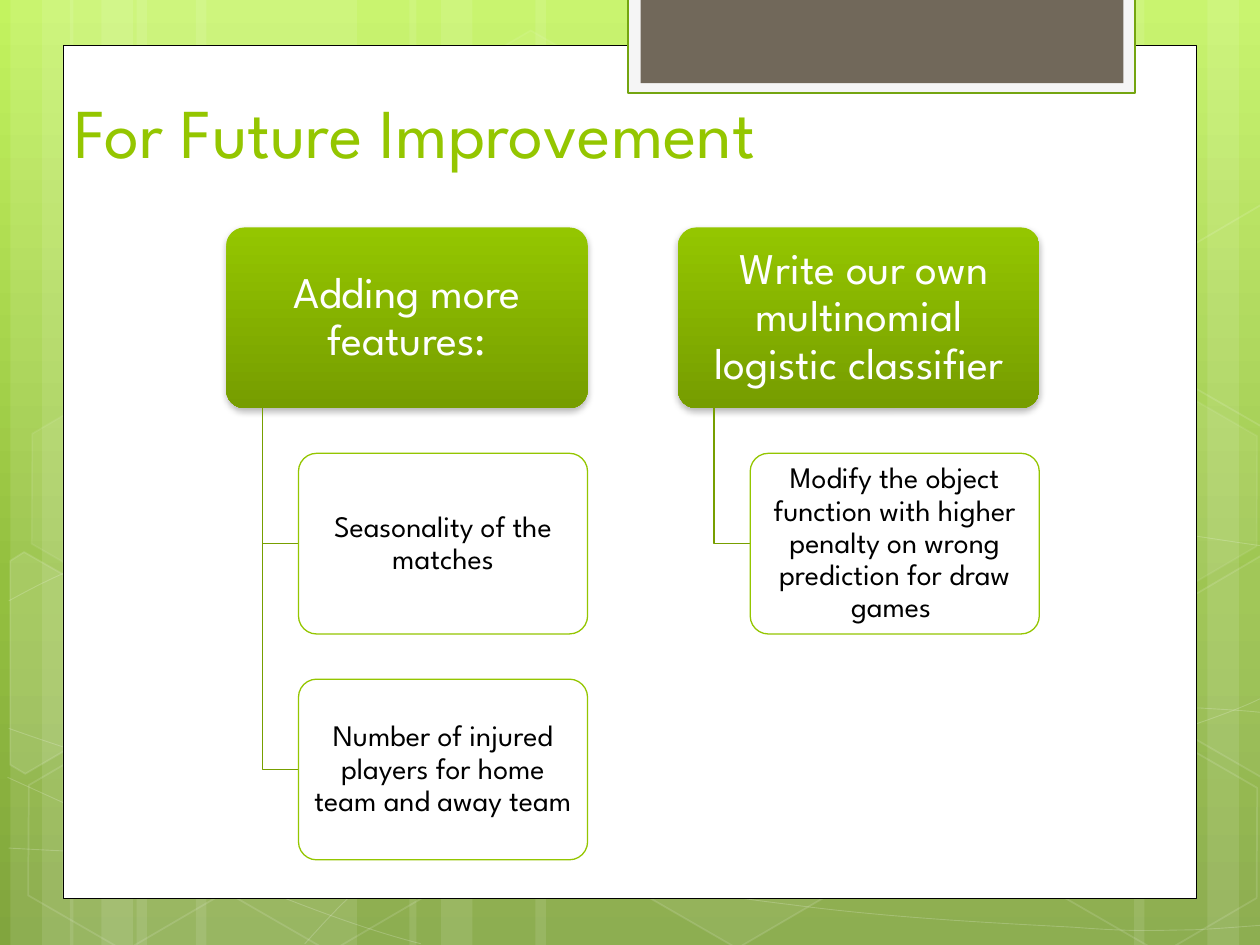
from copy import deepcopy
from dataclasses import dataclass
from math import cos, radians, sin
from typing import NamedTuple

from lxml import etree
from pptx import Presentation
from pptx.dml.color import RGBColor
from pptx.enum.shapes import MSO_SHAPE
from pptx.enum.text import MSO_ANCHOR, PP_ALIGN
from pptx.oxml.ns import qn
from pptx.shapes.base import BaseShape
from pptx.shapes.shapetree import SlideShapes
from pptx.slide import Slide
from pptx.text.text import TextFrame
from pptx.util import Pt

RECT, ROUNDED, HEXAGON = MSO_SHAPE.RECTANGLE, MSO_SHAPE.ROUNDED_RECTANGLE, MSO_SHAPE.HEXAGON
LEFT, CENTER = PP_ALIGN.LEFT, PP_ALIGN.CENTER
MIDDLE, BOTTOM = MSO_ANCHOR.MIDDLE, MSO_ANCHOR.BOTTOM
TITLE_ONLY = 5
DOWNWARD = 270
SLIDE_W, SLIDE_H = 720, 540
TILT = 30

Point = tuple[float, float]


@dataclass(frozen=True)
class Theme:
    font: str = "League Spartan"
    title_size: int = 40
    heading_size: int = 25
    detail_size: int = 17
    green: str = "94C600"
    dark_green: str = "769D00"
    branch: str = "779F00"
    tab_edge: str = "74A510"
    tab_frame: str = "F5F5F5"
    tab: str = "71685A"
    white: str = "FFFFFF"
    black: str = "000000"
    backdrop: tuple = ((0, "C3F35F"), (0.62, "93BF3F"), (1, "81A53E"))


class Box(NamedTuple):
    left: float
    top: float
    width: float
    height: float


class Paint(NamedTuple):
    color: str
    opacity: int = 100


class Stroke(NamedTuple):
    color: str
    width: float
    opacity: int = 100


class Hexagon(NamedTuple):
    left: float
    top: float
    fill_opacity: int
    edge_opacity: int


class CutHexagon(NamedTuple):
    corners: list[Point]
    center: Point
    fill_opacity: int


class Branch(NamedTuple):
    heading: str
    details: tuple[str, ...]


THEME = Theme()

# Left edge and width of each translucent band
STRIPES = [(78, 126), (6, 36), (24, 60), (112, 126), (40, 36), (58, 60),
           (528, 126), (690, 36), (648, 60), (306, 222), (234, 36), (252, 60)]

# Each curve is a start point followed by Bezier triples
CURVES = [
    [(5, 484.6), (43.9, 486.7), (82.8, 488.9), (136.8, 488.2), (190.8, 487.4), (257.8, 486),
     (329.8, 478.8), (401.8, 471.6), (504, 457.9), (570.2, 444.2), (635.8, 430.6),
     (703.4, 409), (725, 396.7)],
    [(5, 343.4), (25.9, 331.9), (46.8, 321.1), (87.1, 310.3), (128.2, 299.5), (186.5, 283.7),
     (249.8, 278.6), (313.9, 273.6), (391.7, 272.9), (470.9, 278.6), (550.1, 284.4),
     (681.8, 306.7), (725, 312.5)],
    [(4.3, 444.2), (91.4, 483.8), (177.8, 523.4), (240.5, 539.3)],
    [(5, 416.2), (27.4, 424.1), (50.4, 432), (92.2, 443.5), (133.9, 454.3), (196.6, 472.3),
     (257, 484.6), (316.8, 496.8), (392.4, 509.8), (452.2, 517), (511.9, 524.9), (576, 527.8),
     (614.2, 529.9), (651.6, 532.8), (661.7, 531.4), (680.4, 531.4), (699.1, 530.6),
     (712.1, 529.2), (725, 528.5)],
    [(174.2, 539.3), (187.2, 524.9), (200.2, 510.5), (217.4, 497.5), (234.7, 484.6),
     (259.2, 470.2), (279.4, 460.1), (299.5, 450), (311.8, 445.7), (338.4, 438.5),
     (364.3, 431.3), (412.6, 421.2), (437.8, 416.2), (463.7, 411.1), (467.3, 411.1),
     (489.6, 409.7), (511.9, 407.5), (547.2, 405.4), (571.7, 404.6), (596.9, 403.9),
     (637.9, 404.6), (637.9, 404.6), (654, 404.6), (670, 404.6), (686.2, 404.6),
     (699.1, 405.4), (711.4, 406.1), (717.8, 406.8), (724.3, 407.5), (722, 406.8),
     (724.3, 407.5)],
]

HEXAGONS = [Hexagon(240.5, 26, 4, 8), Hexagon(358, 424, 6, 12), Hexagon(8, 425.5, 0, 12),
            Hexagon(10, 224.6, 7, 8), Hexagon(125.3, 426, 0, 12), Hexagon(542, 326, 10, 12),
            Hexagon(600.5, 427, 0, 12), Hexagon(600.5, 226, 7, 8)]
LEFT_CUT = [(5.8, 320.4), (13.7, 315.4), (69.1, 347), (68.4, 410.4), (14.4, 442.1), (5.8, 437)]
RIGHT_CUT = [(666.7, 349.2), (720.7, 317.5), (726.5, 321.1), (726.5, 441.4),
             (721.4, 444.2), (666.7, 412.6)]
CUT_HEXAGONS = [CutHexagon(LEFT_CUT, (25.9, 385.2), 10),
                CutHexagon(RIGHT_CUT, (709.2, 374.4), 4),
                CutHexagon([(x, y - 200.5) for x, y in RIGHT_CUT], (709.2, 173.9), 0)]

BRANCHES = [
    Branch("Adding more features:",
           ("Seasonality of the matches",
            "Number of injured players for home team and away team")),
    Branch(" Write our own multinomial logistic classifier",
           ("Modify the object function with higher penalty on wrong prediction for draw games ",)),
]
TREE_LEFT, TREE_TOP = 129.3, 130
CARD_W = 206.5
CARD_H = CARD_W / 2
ROW_STEP = CARD_H * 1.25
COLUMN_STEP = CARD_W * 1.25
INDENT = CARD_W / 10


def rgb(color: str) -> RGBColor:
    return RGBColor.from_string(color)


def set_opacity(shape: BaseShape, color_path: str, opacity: int) -> None:
    if opacity < 100:
        color = shape.element.xpath(color_path)[0]
        etree.SubElement(color, qn("a:alpha"), val=str(opacity * 1000))


def style(shape: BaseShape, fill: Paint | None = None, stroke: Stroke | None = None) -> None:
    shape.shadow.inherit = False
    if fill and fill.opacity:
        shape.fill.solid()
        shape.fill.fore_color.rgb = rgb(fill.color)
        set_opacity(shape, "./p:spPr/a:solidFill/a:srgbClr", fill.opacity)
    else:
        shape.fill.background()
    if stroke:
        shape.line.color.rgb = rgb(stroke.color)
        shape.line.width = Pt(stroke.width)
        set_opacity(shape, "./p:spPr/a:ln/a:solidFill/a:srgbClr", stroke.opacity)
    else:
        shape.line.fill.background()


def add_block(shapes: SlideShapes, kind: MSO_SHAPE, box: Box, fill: Paint | None = None,
              stroke: Stroke | None = None) -> BaseShape:
    block = shapes.add_shape(kind, *map(Pt, box))
    style(block, fill, stroke)
    return block


def add_outline(shapes: SlideShapes, points: list[Point], stroke: Stroke,
                fill: Paint | None = None, close: bool = False) -> BaseShape:
    start, *rest = [(Pt(x), Pt(y)) for x, y in points]
    builder = shapes.build_freeform(*start)
    builder.add_line_segments(rest, close=close)
    outline = builder.convert_to_shape()
    style(outline, fill, stroke)
    return outline


def bend(outline: BaseShape) -> None:
    """Turn every three line segments into one cubic Bezier segment."""
    lines = list(outline.element.iter(qn("a:lnTo")))
    for first, second, third in zip(lines[::3], lines[1::3], lines[2::3]):
        first.tag = qn("a:cubicBezTo")
        for line in (second, third):
            first.append(line[0])
            line.getparent().remove(line)


def turn_back(points: list[Point], center: Point) -> list[Point]:
    """Undo the tilt, so that the shape's own rotation restores it."""
    cosine, sine = cos(radians(TILT)), sin(radians(TILT))
    cx, cy = center
    return [(cx + (x - cx) * cosine + (y - cy) * sine,
             cy - (x - cx) * sine + (y - cy) * cosine) for x, y in points]


def write(frame: TextFrame, text: str, size: int, color: str, align: PP_ALIGN,
          anchor: MSO_ANCHOR) -> None:
    frame.text = text
    frame.word_wrap = True
    frame.vertical_anchor = anchor
    paragraph = frame.paragraphs[0]
    paragraph.alignment = align
    font = paragraph.runs[0].font
    font.name, font.size, font.color.rgb = THEME.font, Pt(size), rgb(color)


def write_card(card: BaseShape, text: str, size: int, color: str, inset: float) -> None:
    card.adjustments[0] = 0.1
    frame = card.text_frame
    frame.margin_left = frame.margin_right = Pt(inset)
    frame.margin_top = frame.margin_bottom = Pt(inset - 1.5)
    write(frame, text, size, color, CENTER, MIDDLE)
    frame.paragraphs[0].line_spacing = 0.9


def add_heading(shapes: SlideShapes, box: Box, text: str) -> None:
    card = add_block(shapes, ROUNDED, box)
    card.fill.gradient()
    card.fill.gradient_angle = DOWNWARD
    for stop, color in zip(card.fill.gradient_stops, (THEME.green, THEME.dark_green)):
        stop.color.rgb = rgb(color)
    effects = card.element.spPr.find(qn("a:effectLst"))
    shadow = etree.SubElement(effects, qn("a:outerShdw"), blurRad=str(Pt(4)), dist=str(Pt(2)),
                              dir="5400000", rotWithShape="0")
    shade = etree.SubElement(shadow, qn("a:srgbClr"), val=THEME.black)
    etree.SubElement(shade, qn("a:alpha"), val="28000")
    write_card(card, text, THEME.heading_size, THEME.white, 6.5)


def add_branch(shapes: SlideShapes, left: float, branch: Branch) -> None:
    add_heading(shapes, Box(left, TREE_TOP, CARD_W, CARD_H), branch.heading)
    trunk, detail_left = left + INDENT, left + 2 * INDENT
    for row, detail in enumerate(branch.details, start=1):
        top = TREE_TOP + row * ROW_STEP
        middle = top + CARD_H / 2
        add_outline(shapes, [(trunk, TREE_TOP + CARD_H), (trunk, middle), (detail_left, middle)],
                    Stroke(THEME.branch, 0.75))
        card = add_block(shapes, ROUNDED, Box(detail_left, top, CARD_W - 2 * INDENT, CARD_H),
                         Paint(THEME.white, 90), Stroke(THEME.green, 0.75))
        write_card(card, detail, THEME.detail_size, THEME.black, 6)


def paint_backdrop(slide: Slide) -> None:
    fill = slide.background.fill
    fill.gradient()
    fill.gradient_angle = DOWNWARD
    stop_list = next(slide.element.iter(qn("a:gsLst")))
    stop_list.insert(1, deepcopy(stop_list[0]))
    for stop, (position, color) in zip(fill.gradient_stops, THEME.backdrop):
        stop.position, stop.color.rgb = position, rgb(color)


def add_decoration(shapes: SlideShapes) -> None:
    white = THEME.white
    for left, width in STRIPES:
        add_block(shapes, RECT, Box(left, 0, width, SLIDE_H), Paint(white, 10))
    for curve in CURVES:
        bend(add_outline(shapes, curve, Stroke(white, 0.5, 20)))
    for item in HEXAGONS:
        cell = add_block(shapes, HEXAGON, Box(item.left, item.top, 126, 109.4),
                         Paint(white, item.fill_opacity), Stroke(white, 1, item.edge_opacity))
        cell.adjustments[0], cell.adjustments[1] = 0.285, 1.155
        cell.rotation = TILT
    for cut in CUT_HEXAGONS:
        cell = add_outline(shapes, turn_back(cut.corners, cut.center), Stroke(white, 1, 12),
                           Paint(white, cut.fill_opacity), close=True)
        cell.rotation = TILT


def add_panel(shapes: SlideShapes) -> None:
    add_block(shapes, RECT, Box(36, 26, 648, 487.4), Paint(THEME.white), Stroke(THEME.black, 0.5))
    add_block(shapes, RECT, Box(359, -1.5, 289.5, 54.7), Paint(THEME.tab_frame),
              Stroke(THEME.tab_edge, 1.25))
    add_block(shapes, RECT, Box(366, -1.5, 276, 49), Paint(THEME.tab))


def place_title(slide: Slide) -> None:
    title = slide.shapes.title
    title.left, title.top, title.width, title.height = map(Pt, Box(35.3, 46, 553, 56.2))
    write(title.text_frame, "For Future Improvement", THEME.title_size, THEME.green, LEFT, BOTTOM)
    title.element.getparent().append(title.element)  # in front of the panel


def main() -> None:
    deck = Presentation()
    deck.slide_width, deck.slide_height = Pt(SLIDE_W), Pt(SLIDE_H)
    slide = deck.slides.add_slide(deck.slide_layouts[TITLE_ONLY])
    paint_backdrop(slide)
    add_decoration(slide.shapes)
    add_panel(slide.shapes)
    place_title(slide)
    for column, branch in enumerate(BRANCHES):
        add_branch(slide.shapes, TREE_LEFT + column * COLUMN_STEP, branch)
    deck.save("out.pptx")


if __name__ == "__main__":
    main()
